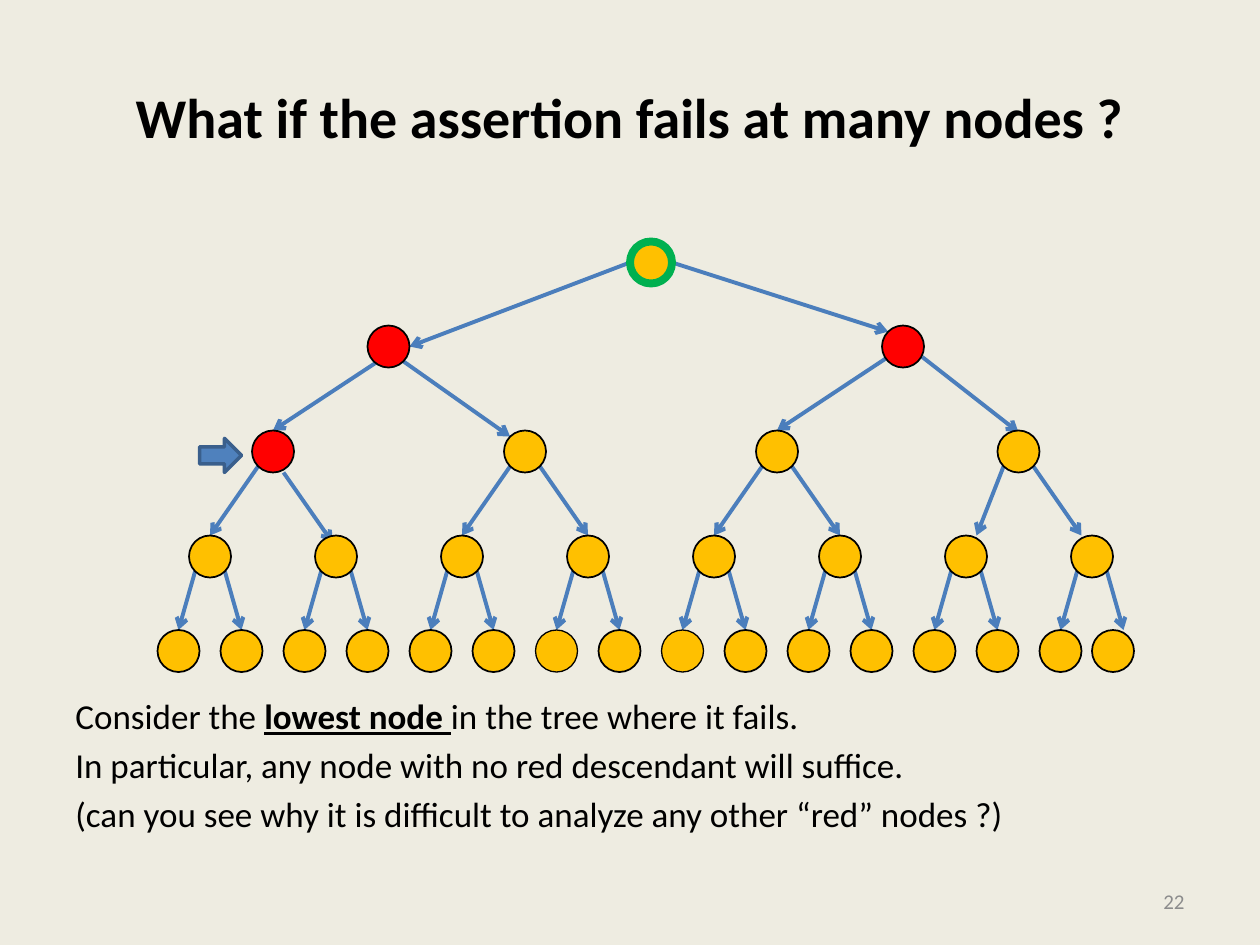
import pptx
import pptx.util
import pptx.dml.color
import pptx.enum.shapes
import pptx.enum.text
import pptx.oxml.ns
import lxml.etree

Pt = pptx.util.Pt
RGBColor = pptx.dml.color.RGBColor
Shape = pptx.enum.shapes.MSO_SHAPE
Align = pptx.enum.text.PP_ALIGN
Anchor = pptx.enum.text.MSO_ANCHOR

CREAM = RGBColor(0xEE, 0xEC, 0xE1)
BLACK = RGBColor(0x00, 0x00, 0x00)
GRAY = RGBColor(0x8C, 0x8C, 0x8C)
AMBER = RGBColor(0xFF, 0xC0, 0x00)
RED = RGBColor(0xFF, 0x00, 0x00)
GREEN = RGBColor(0x00, 0xB0, 0x50)
EDGE_BLUE = RGBColor(0x4B, 0x7E, 0xBC)
POINTER_BLUE = RGBColor(0x4F, 0x81, 0xBD)
POINTER_EDGE = RGBColor(0x3A, 0x5F, 0x8C)

FONT = "Calibri"
NODE = 24
LEVEL_TOPS = [0, 48, 108, 168, 222]
LEVEL_LEFTS = [
    [270],
    [120, 414],
    [54, 198, 342, 480],
    [18 + 72 * i for i in range(8)],
    [36 * i for i in range(15)] + [534],
]
RED_NODES = {(1, 0), (1, 1), (2, 0)}
THIN_NODES = {(4, 6), (4, 8)}

UPPER_FAN = [(3.5, 20.5, -24, 60), (20.5, 20.5, 48, 60)]
LEAF_FAN = [(3.5, 20.5, -6, 54), (20.5, 20.5, 30, 54)]
FANS = [
    [[(0, 12, -126, 60), (24, 12, 147.5, 51.5)]],
    [
        [(6, 20.5, -54, 60), (20.5, 20.5, 81.5, 63.5)],
        [(3.5, 18, -60, 60), (23, 18, 78, 61)],
    ],
    [
        [UPPER_FAN[0], (18, 24, 46, 64)],
        UPPER_FAN,
        UPPER_FAN,
        [(3.5, 20.5, -12, 60), UPPER_FAN[1]],
    ],
    [LEAF_FAN] * 8,
]


def add_span(para, text, size, color, bold=False, underline=False):
    """Add one formatted run to a paragraph."""
    span = para.add_run()
    span.text = text
    span.font.name = FONT
    span.font.size = Pt(size)
    span.font.bold = bold
    span.font.underline = underline
    span.font.color.rgb = color


def add_shape(page, kind, box, fill, edge, weight):
    """Add a filled and outlined preset shape."""
    shape = page.shapes.add_shape(kind, *map(Pt, box))
    shape.shadow.inherit = False
    shape.fill.solid()
    shape.fill.fore_color.rgb = fill
    shape.line.color.rgb = edge
    shape.line.width = Pt(weight)


def add_arrow(page, start, end):
    """Add a straight edge with an open arrowhead at its end."""
    edge = page.shapes.add_connector(
        pptx.enum.shapes.MSO_CONNECTOR.STRAIGHT, *map(Pt, start + end)
    )
    edge.line.color.rgb = EDGE_BLUE
    edge.line.width = Pt(2.25)
    name = pptx.oxml.ns.qn
    head = lxml.etree.SubElement(edge.line._get_or_add_ln(), name("a:tailEnd"))
    head.set("type", "arrow")
    lxml.etree.SubElement(edge._element.spPr, name("a:effectLst"))


def add_text_box(page, box):
    """Add a wrapping text box and return its text frame."""
    frame = page.shapes.add_textbox(*map(Pt, box)).text_frame
    frame.word_wrap = True
    return frame


def add_title(page, box):
    """Place and format the title placeholder."""
    title = page.shapes.title
    title.left, title.top, title.width, title.height = map(Pt, box)
    frame = title.text_frame
    frame.vertical_anchor = Anchor.MIDDLE
    para = frame.paragraphs[0]
    para.alignment = Align.CENTER
    add_span(para, "What if the assertion fails at many nodes ?", 32, BLACK, bold=True)


def add_tree(page, left, top):
    """Draw the edges, nodes and pointer of the binary tree."""
    for level, fans in enumerate(FANS):
        for node_left, fan in zip(LEVEL_LEFTS[level], fans):
            x, y = left + node_left, top + LEVEL_TOPS[level]
            for x1, y1, x2, y2 in fan:
                add_arrow(page, (x + x1, y + y1), (x + x2, y + y2))
    for level, lefts in enumerate(LEVEL_LEFTS):
        for index, node_left in enumerate(lefts):
            key = (level, index)
            fill = RED if key in RED_NODES else AMBER
            edge, weight = (GREEN, 4.5) if level == 0 else (BLACK, 1)
            if key in THIN_NODES:
                weight = 0.75
            box = (left + node_left, top + LEVEL_TOPS[level], NODE, NODE)
            add_shape(page, Shape.OVAL, box, fill, edge, weight)
    pointer = (left + 24, top + 112.5, 24, 19.5)
    add_shape(page, Shape.RIGHT_ARROW, pointer, POINTER_BLUE, POINTER_EDGE, 2)


def add_remarks(page, box):
    """Write the remarks below the tree."""
    remarks = [
        [("Consider the ", False), ("lowest node ", True), ("in the tree where it fails.", False)],
        [("In particular, any node with no red descendant will suffice.", False)],
        [("(can you see why it is difficult to analyze any other “red” nodes ?)", False)],
    ]
    frame = add_text_box(page, box)
    for index, spans in enumerate(remarks):
        para = frame.add_paragraph() if index else frame.paragraphs[0]
        para.space_before = Pt(4 if index else 0)
        for text, strong in spans:
            add_span(para, text, 20, BLACK, bold=strong, underline=strong)


def add_page_number(page, box):
    """Write the page number."""
    frame = add_text_box(page, box)
    frame.vertical_anchor = Anchor.MIDDLE
    para = frame.paragraphs[0]
    para.alignment = Align.RIGHT
    add_span(para, "22", 12, GRAY)


def main():
    """Build and save the deck."""
    deck = pptx.Presentation()
    deck.slide_width, deck.slide_height = Pt(720), Pt(540)
    page = deck.slides.add_slide(deck.slide_layouts[5])
    page.background.fill.solid()
    page.background.fill.fore_color.rgb = CREAM
    add_title(page, (36, 21.6, 648, 90))
    add_tree(page, 90, 138)
    add_remarks(page, (36, 393.5, 648, 89))
    add_page_number(page, (516, 500.5, 168, 28.75))
    deck.save("out.pptx")


if __name__ == "__main__":
    main()
